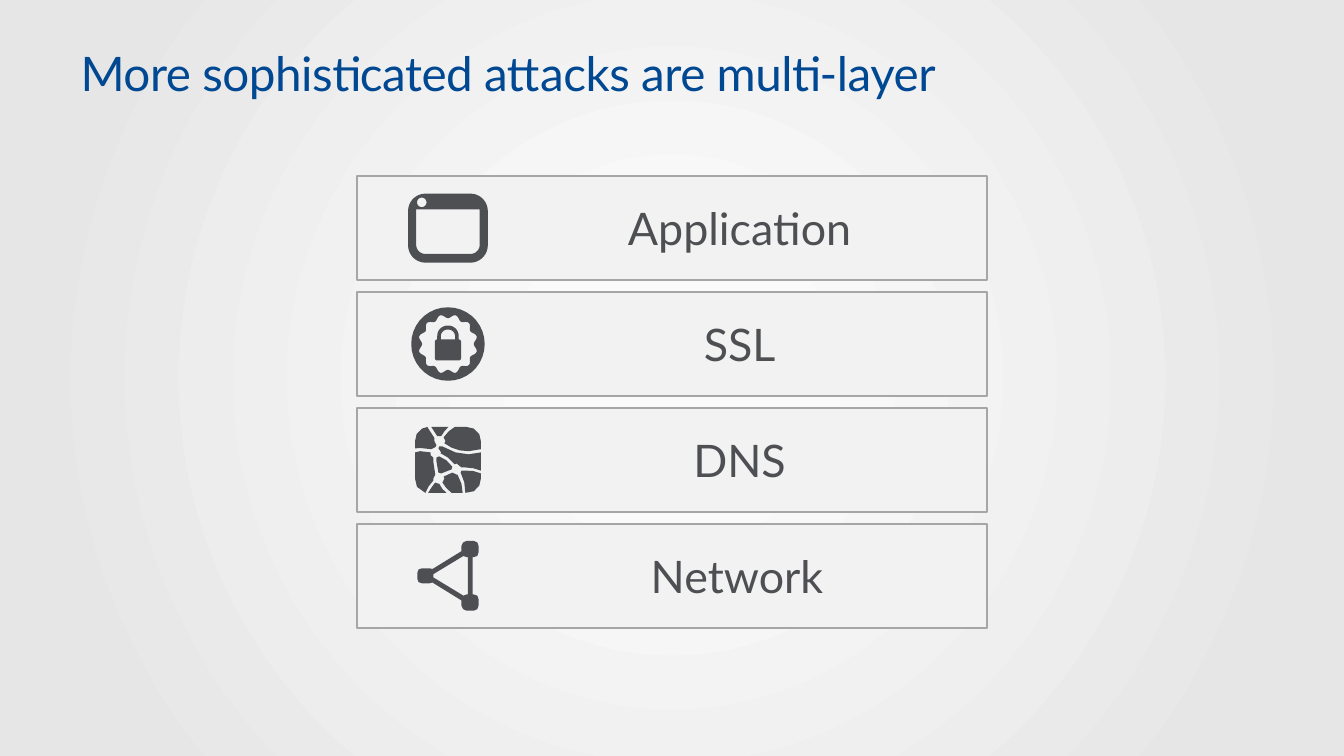
from math import cos, pi, radians, sin

from pptx import Presentation
from pptx.dml.color import RGBColor
from pptx.enum.shapes import MSO_SHAPE
from pptx.enum.text import MSO_ANCHOR, MSO_AUTO_SIZE, PP_ALIGN
from pptx.oxml import parse_xml
from pptx.util import Cm, Pt

RECTANGLE = MSO_SHAPE.RECTANGLE
TOP = MSO_ANCHOR.TOP
MIDDLE = MSO_ANCHOR.MIDDLE
LEFT = PP_ALIGN.LEFT
CENTER = PP_ALIGN.CENTER
NO_AUTOFIT = MSO_AUTO_SIZE.NONE

FONT = "Lato"
COLORS = {
    "title": "004892",
    "icon": "4D4F53",
    "panel": "F2F2F2",
    "border": "A6A6A6",
    "center": "FAFAFA",
    "edge": "E6E6E6",
}
LAYERS = [
    ("Application", 12.43, 12.42),
    ("SSL", 12.43, 12.42),
    ("DNS", 12.43, 12.42),
    ("Network", 12.29, 12.57),
]
ROW_LEFT, ROW_TOP, ROW_WIDTH, ROW_HEIGHT, ROW_PITCH = 8.99, 4.44, 15.88, 2.62, 2.92
LABEL_HEIGHT = 1.63
ICON_X = 11.29
ROW_CENTERS = [ROW_TOP + ROW_HEIGHT / 2 + row * ROW_PITCH for row in range(len(LAYERS))]
APPLICATION_Y, SSL_Y, DNS_Y, NETWORK_Y = ROW_CENTERS

presentation = Presentation()
presentation.slide_width = Cm(33.87)
presentation.slide_height = Cm(19.05)
slide = presentation.slides.add_slide(presentation.slide_layouts[5])
shapes = slide.shapes


def rounded_box(x, y, width, height, top_radius, bottom_radius):
    points = []
    corners = [(1, 1, bottom_radius), (-1, 1, bottom_radius), (-1, -1, top_radius), (1, -1, top_radius)]
    for quarter, (side_x, side_y, radius) in enumerate(corners):
        for step in range(0, 91, 10):
            angle = radians(90 * quarter + step)
            points.append((
                x + side_x * (width / 2 - radius) + radius * cos(angle),
                y + side_y * (height / 2 - radius) + radius * sin(angle),
            ))
    return points


def add_icon(center_y, contours):
    builder = None
    for contour in contours:
        points = [(Cm(ICON_X + x), Cm(center_y + y)) for x, y in contour]
        if builder is None:
            builder = shapes.build_freeform(*points[0])
        else:
            builder.move_to(*points[0])
        builder.add_line_segments(points[1:], close=True)
    shape = builder.convert_to_shape()
    shape.shadow.inherit = False
    shape.fill.solid()
    shape.fill.fore_color.rgb = RGBColor.from_string(COLORS["icon"])
    shape.line.fill.background()


slide.background.fill.solid()
solid_fill = slide.background._cSld.bg.bgPr[0]
gradient = parse_xml(
    '<a:gradFill xmlns:a="http://schemas.openxmlformats.org/drawingml/2006/main" rotWithShape="1">'
    f'<a:gsLst><a:gs pos="15000"><a:srgbClr val="{COLORS["center"]}"/></a:gs>'
    f'<a:gs pos="85000"><a:srgbClr val="{COLORS["edge"]}"/></a:gs></a:gsLst>'
    '<a:path path="circle"><a:fillToRect l="50000" t="50000" r="50000" b="50000"/></a:path>'
    "</a:gradFill>"
)
solid_fill.getparent().replace(solid_fill, gradient)

title = shapes.title
title.left, title.top, title.width, title.height = Cm(2.03), Cm(1.38), Cm(30.48), Cm(2.54)
title_frame = title.text_frame
title_frame.margin_left = title_frame.margin_right = 0
title_frame.margin_top = title_frame.margin_bottom = 0
title_frame.vertical_anchor = TOP
title_frame.auto_size = NO_AUTOFIT
paragraph = title_frame.paragraphs[0]
paragraph.alignment = LEFT
paragraph.line_spacing = 0.8
run = paragraph.add_run()
run.text = "More sophisticated attacks are multi-layer"
run.font.name = FONT
run.font.size = Pt(34)
run.font.color.rgb = RGBColor.from_string(COLORS["title"])
run.font._element.set("spc", "-30")

for (layer, label_left, label_width), center_y in zip(LAYERS, ROW_CENTERS):
    panel = shapes.add_shape(
        RECTANGLE, Cm(ROW_LEFT), Cm(center_y - ROW_HEIGHT / 2), Cm(ROW_WIDTH), Cm(ROW_HEIGHT)
    )
    panel.shadow.inherit = False
    panel.fill.solid()
    panel.fill.fore_color.rgb = RGBColor.from_string(COLORS["panel"])
    panel.line.color.rgb = RGBColor.from_string(COLORS["border"])
    panel.line.width = Pt(1.5)
    label = shapes.add_textbox(
        Cm(label_left), Cm(center_y - LABEL_HEIGHT / 2 - 0.01), Cm(label_width), Cm(LABEL_HEIGHT)
    )
    label.text_frame.word_wrap = True
    label.text_frame.vertical_anchor = MIDDLE
    paragraph = label.text_frame.paragraphs[0]
    paragraph.alignment = CENTER
    run = paragraph.add_run()
    run.text = layer
    run.font.name = FONT
    run.font.size = Pt(32)
    run.font.color.rgb = RGBColor.from_string(COLORS["icon"])

add_icon(APPLICATION_Y, [
    rounded_box(0, 0, 2.01, 1.74, 0.44, 0.44),
    rounded_box(0, 0.09, 1.6, 1.12, 0, 0.23),
    rounded_box(-0.66, -0.65, 0.24, 0.24, 0.12, 0.12),
])

seal = []
for step in range(120):
    angle = 2 * pi * step / 120
    radius = 0.7 - 0.05 * cos(12 * angle)
    seal.append((radius * sin(angle), -radius * cos(angle)))
add_icon(SSL_Y, [
    rounded_box(0, 0, 1.85, 1.85, 0.92, 0.92),
    seal,
    rounded_box(0, 0.15, 0.66, 0.53, 0.06, 0.06),
    rounded_box(0, -0.29, 0.54, 0.35, 0.26, 0),
    rounded_box(0, -0.24, 0.36, 0.25, 0.17, 0),
])

dns_tiles = [
    [(-0.11, -0.57), (-0.06, -0.47), (-0.09, -0.42), (0.09, -0.31), (0.3, -0.24), (0.52, -0.22),
     (0.83, -0.27), (0.83, -0.47), (0.79, -0.65), (0.65, -0.79), (0.47, -0.83), (0.17, -0.83),
     (0.02, -0.72)],
    [(-0.22, -0.6), (-0.17, -0.6), (-0.09, -0.72), (0.01, -0.83), (-0.42, -0.83), (-0.27, -0.6)],
    [(-0.14, -0.34), (-0.22, -0.34), (-0.24, -0.29), (-0.17, -0.19), (-0.19, -0.17), (0, -0.06),
     (0.17, 0.11), (0.22, 0.09), (0.34, 0.19), (0.44, 0.19), (0.64, 0.21), (0.83, 0.27),
     (0.83, -0.19), (0.52, -0.14), (0.19, -0.19)],
    [(-0.42, -0.27), (-0.32, -0.32), (-0.29, -0.37), (-0.34, -0.47), (-0.34, -0.55),
     (-0.52, -0.83), (-0.65, -0.79), (-0.79, -0.65), (-0.83, -0.47), (-0.83, -0.29), (-0.7, -0.3)],
    [(-0.29, 0.04), (-0.24, 0.32), (-0.17, 0.34), (0.09, 0.24), (0.11, 0.17), (-0.04, 0.01),
     (-0.22, -0.09), (-0.29, -0.06)],
    [(0.34, 0.27), (0.32, 0.32), (0.41, 0.56), (0.44, 0.83), (0.65, 0.79), (0.79, 0.65),
     (0.83, 0.47), (0.83, 0.34), (0.64, 0.28), (0.44, 0.27)],
    [(-0.37, 0.47), (-0.32, 0.37), (-0.37, 0.04), (-0.37, -0.06), (-0.44, -0.12), (-0.44, -0.19),
     (-0.7, -0.22), (-0.83, -0.19), (-0.83, 0.47), (-0.78, 0.68), (-0.57, 0.83), (-0.49, 0.67),
     (-0.37, 0.52)],
    [(-0.24, 0.6), (-0.32, 0.57), (-0.41, 0.69), (-0.5, 0.83), (-0.04, 0.83), (-0.14, 0.73),
     (-0.22, 0.6)],
    [(0.22, 0.37), (0.11, 0.32), (-0.11, 0.42), (-0.09, 0.47), (-0.14, 0.57), (-0.04, 0.71),
     (0.09, 0.83), (0.37, 0.83), (0.34, 0.6), (0.24, 0.37)],
]
for tile in dns_tiles:
    add_icon(DNS_Y, [tile])

upper_outline = [
    (0.62, -0.47), (0.65, -0.47), (0.74, -0.5), (0.77, -0.59), (0.77, -0.75), (0.74, -0.84),
    (0.65, -0.88), (0.47, -0.88), (0.38, -0.84), (0.34, -0.75), (0.34, -0.62), (-0.39, -0.17),
    (-0.47, -0.19), (-0.65, -0.19), (-0.74, -0.16), (-0.77, -0.08),
]
upper_opening = [(0.5, -0.47), (0.47, -0.47), (0.39, -0.5), (-0.37, -0.04)]
add_icon(NETWORK_Y, [
    half + [(x, -y) for x, y in reversed(half)] for half in [upper_outline, upper_opening]
])

presentation.save("out.pptx")
